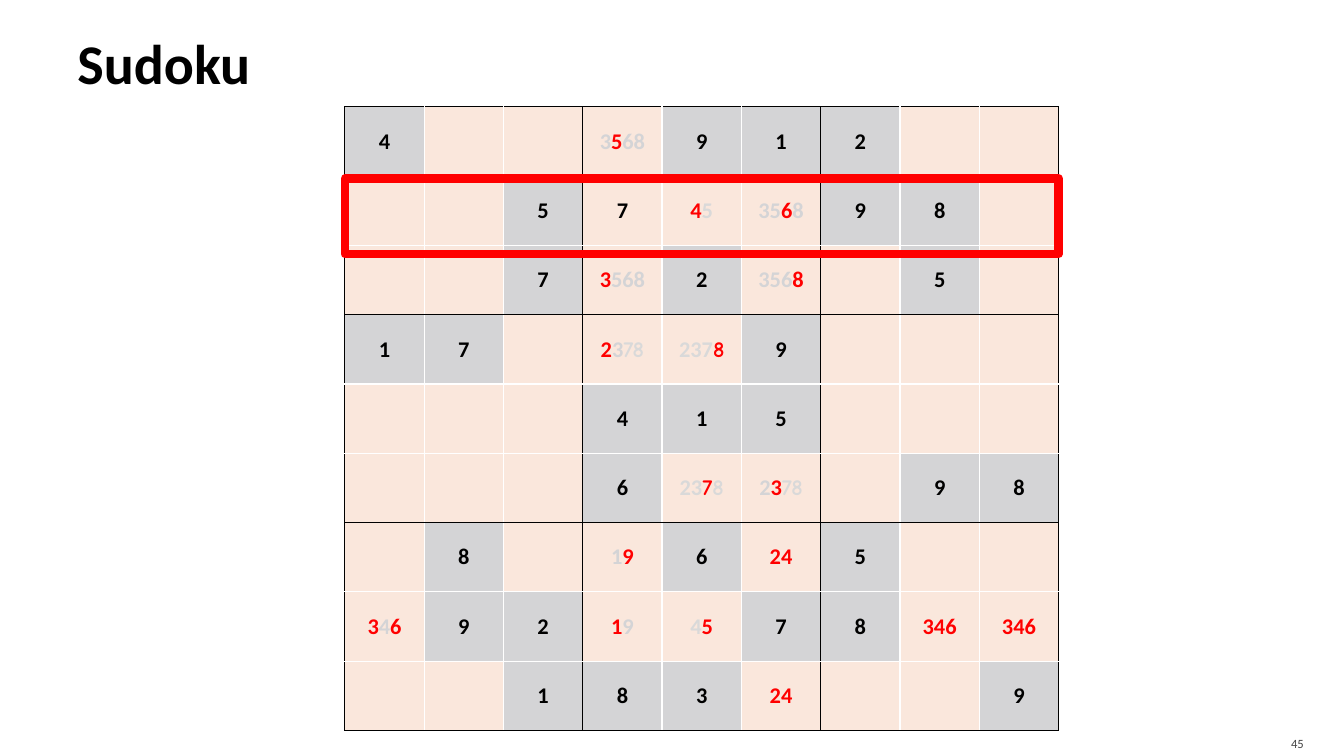
from typing import NamedTuple

from lxml import etree
from pptx import Presentation
from pptx.dml.color import RGBColor
from pptx.enum.shapes import MSO_SHAPE
from pptx.enum.text import MSO_ANCHOR, PP_ALIGN
from pptx.oxml.ns import qn
from pptx.util import Inches, Pt

BLACK = RGBColor(0x00, 0x00, 0x00)
WHITE = RGBColor(0xFF, 0xFF, 0xFF)
RED = RGBColor(0xFF, 0x00, 0x00)
GRAY = RGBColor(0xD4, 0xD4, 0xD6)
PALE = RGBColor(0xD9, 0xD9, 0xD9)
PEACH = RGBColor(0xFA, 0xE7, 0xDC)
DARK = RGBColor(0x45, 0x45, 0x45)
MAIN_FONT = "Calibri"
HAND_FONT = "Comic Neue"

LEFT, CENTER, RIGHT = PP_ALIGN.LEFT, PP_ALIGN.CENTER, PP_ALIGN.RIGHT
MIDDLE = MSO_ANCHOR.MIDDLE
RECTANGLE = MSO_SHAPE.RECTANGLE

SIZE, BOX = 9, 3
GRID_LEFT, GRID_TOP, GRID_WIDTH, GRID_HEIGHT = 3.42, 1.06, 7.08, 6.19


class DigitStyle(NamedTuple):
    color: RGBColor
    font: str = MAIN_FONT


class Label(NamedTuple):
    text: str
    left: float
    top: float
    width: float
    height: float
    size: float
    color: RGBColor
    bold: bool
    align: PP_ALIGN
    margins: tuple[float, float, float, float]


# Each run of digits starts with the letter of its style; "g" is a given digit.
STYLES = {
    "g": DigitStyle(BLACK),
    "k": DigitStyle(BLACK),
    "r": DigitStyle(RED),
    "f": DigitStyle(GRAY),
    "p": DigitStyle(PALE),
    "R": DigitStyle(RED, HAND_FONT),
    "P": DigitStyle(PALE, HAND_FONT),
}

PUZZLE = [
    "g4 | | | f3 r5 f68 | g9 | g1 | g2 | | ",
    " | | g5 | k7 | r4 p5 | f35 r6 f8 | g9 | g8 | ",
    " | | g7 | r3 f568 | g2 | f356 r8 | | g5 | ",
    "g1 | g7 | | r2 f3 P78 | p237 R8 | g9 | | | ",
    " | | | g4 | g1 | g5 | | | ",
    " | | | g6 | p23 R7 P8 | f2 r3 P78 | | g9 | g8",
    " | g8 | | f1 r9 | g6 | r24 | g5 | | ",
    "r3 f4 r6 | g9 | g2 | r1 f9 | p4 r5 | g7 | g8 | r346 | r346",
    " | | g1 | g8 | g3 | r24 | | | g9",
]

LABELS = [
    Label("Sudoku", 0.67, 0.08, 12, 1.08, 40, BLACK, True, LEFT,
          (0.1, 0.05, 0.05, 0.05)),
    Label("45", 11.96, 7.2, 1.07, 0.3, 9, DARK, False, RIGHT,
          (0.1, 0.05, 0.1, 0)),
]


def add_text(paragraph, text: str, *, size: float, color: RGBColor,
             bold: bool = False, font: str = MAIN_FONT,
             align: PP_ALIGN = LEFT) -> None:
    paragraph.alignment = align
    run = paragraph.add_run()
    run.text = text
    run.font.name = font
    run.font.size = Pt(size)
    run.font.bold = bold
    run.font.color.rgb = color


def add_label(slide, label: Label) -> None:
    box = slide.shapes.add_textbox(Inches(label.left), Inches(label.top),
                                   Inches(label.width), Inches(label.height))
    frame = box.text_frame
    frame.word_wrap = True
    frame.vertical_anchor = MIDDLE
    (frame.margin_left, frame.margin_top,
     frame.margin_right, frame.margin_bottom) = map(Inches, label.margins)
    add_text(frame.paragraphs[0], label.text, size=label.size,
             color=label.color, bold=label.bold, align=label.align)


def add_borders(cell, row: int, column: int) -> None:
    """Draw black lines around each box and white lines inside it."""
    on_box_edge = {
        "L": column % BOX == 0,
        "R": column % BOX == BOX - 1,
        "T": row % BOX == 0,
        "B": row % BOX == BOX - 1,
    }
    properties = cell._tc.get_or_add_tcPr()
    for side, is_edge in on_box_edge.items():
        line = etree.SubElement(properties, qn(f"a:ln{side}"), w=str(Pt(1)))
        fill = etree.SubElement(line, qn("a:solidFill"))
        color = BLACK if is_edge else WHITE
        etree.SubElement(fill, qn("a:srgbClr"), val=str(color))


def fill_cell(cell, content: str) -> None:
    cell.vertical_anchor = MIDDLE
    cell.fill.solid()
    cell.fill.fore_color.rgb = GRAY if content.startswith("g") else PEACH
    for part in content.split():
        style = STYLES[part[0]]
        add_text(cell.text_frame.paragraphs[0], part[1:], size=16, bold=True,
                 color=style.color, font=style.font, align=CENTER)


def add_puzzle(slide) -> None:
    table = slide.shapes.add_table(
        SIZE, SIZE, Inches(GRID_LEFT), Inches(GRID_TOP),
        Inches(GRID_WIDTH), Inches(GRID_HEIGHT)).table
    table.first_row = False
    table.horz_banding = False
    for row, line in enumerate(PUZZLE):
        for column, content in enumerate(line.split("|")):
            cell = table.cell(row, column)
            add_borders(cell, row, column)
            fill_cell(cell, content.strip())


def add_row_highlight(slide) -> None:
    highlight = slide.shapes.add_shape(
        RECTANGLE, Inches(GRID_LEFT), Inches(1.77),
        Inches(GRID_WIDTH), Inches(0.75))
    highlight.shadow.inherit = False
    highlight.fill.background()
    highlight.line.color.rgb = RED
    highlight.line.width = Pt(6)
    # Rounded corners where the thick outline turns
    etree.SubElement(highlight.line._get_or_add_ln(), qn("a:round"))


def main() -> None:
    presentation = Presentation()
    presentation.slide_width = Inches(13.33)
    presentation.slide_height = Inches(7.5)
    slide = presentation.slides.add_slide(presentation.slide_layouts[6])
    for label in LABELS:
        add_label(slide, label)
    add_puzzle(slide)
    add_row_highlight(slide)
    presentation.save("out.pptx")


if __name__ == "__main__":
    main()
